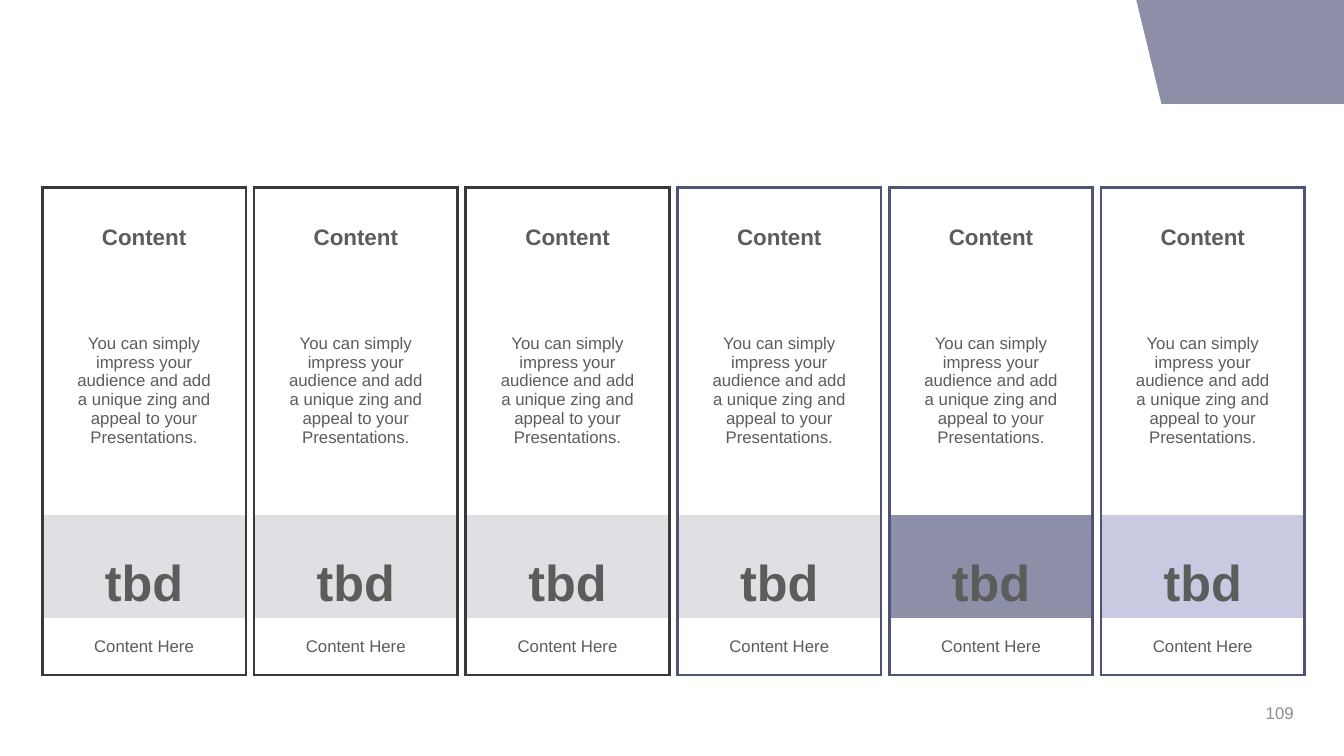
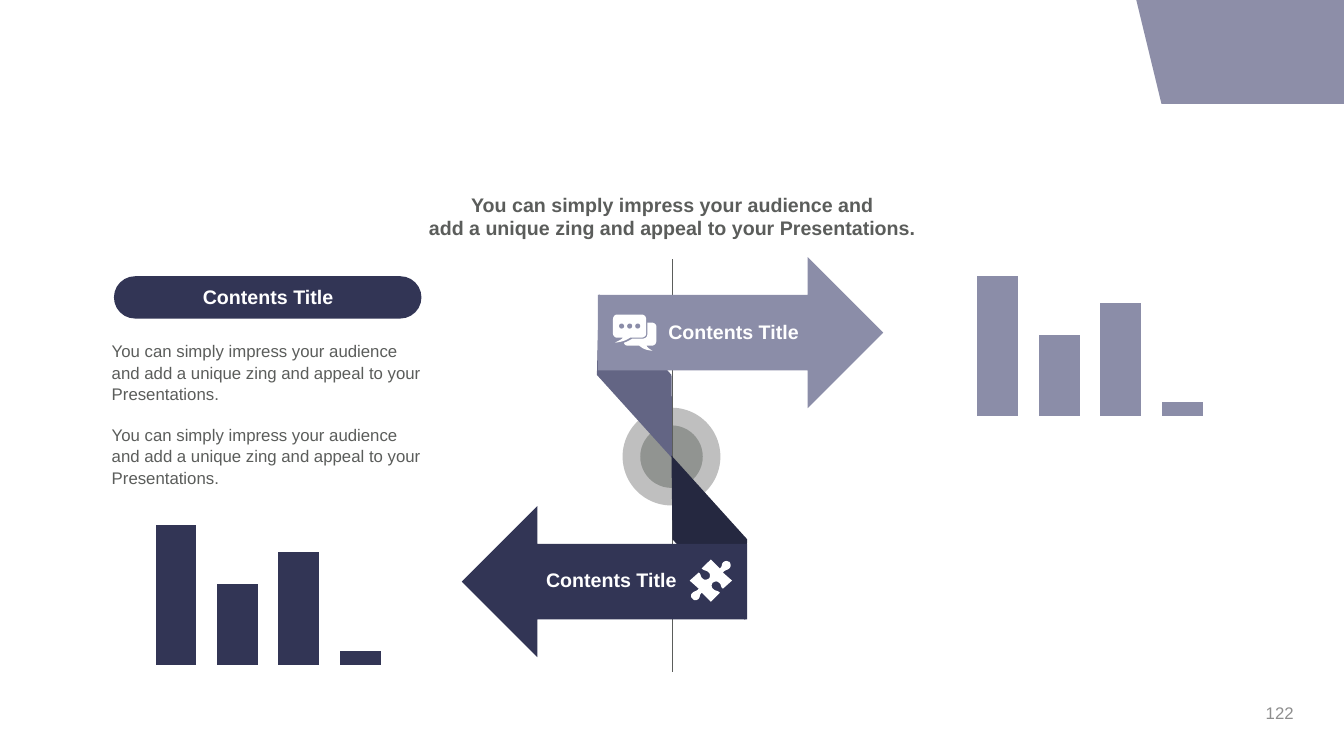
from pptx import Presentation
from pptx.chart.data import CategoryChartData
from pptx.dml.color import RGBColor
from pptx.enum.chart import XL_CHART_TYPE
from pptx.enum.shapes import MSO_CONNECTOR, MSO_SHAPE
from pptx.enum.text import MSO_ANCHOR, PP_ALIGN
from pptx.util import Inches, Pt
from lxml.etree import SubElement
from pptx.oxml.ns import qn

WHITE = RGBColor(0xFF, 0xFF, 0xFF)
BAND = RGBColor(0x8D, 0x8E, 0xA8)
LILAC = RGBColor(0x8B, 0x8D, 0xA8)
PALE = RGBColor(0xC9, 0xCA, 0xE1)
SLATE = RGBColor(0x51, 0x53, 0x73)
DUSK = RGBColor(0x63, 0x65, 0x84)
NAVY = RGBColor(0x32, 0x35, 0x55)
NIGHT = RGBColor(0x25, 0x28, 0x40)
INK = RGBColor(0x3A, 0x38, 0x38)
GREY = RGBColor(0x5B, 0x5D, 0x5B)
STONE = RGBColor(0x91, 0x94, 0x91)
SILVER = RGBColor(0xBF, 0xBF, 0xBF)
MIST = RGBColor(0xDE, 0xE0, 0xE3)
FOOT = RGBColor(0x8E, 0x8E, 0x8E)
FONT = "Arial"
PITCH = "You can simply impress your audience and add a unique zing and appeal to your Presentations."


def paint(shape, color):
    shape.shadow.inherit = False
    shape.fill.solid()
    shape.fill.fore_color.rgb = color
    shape.line.fill.background()
    return shape


def trace(shapes, color, start, steps):
    spots = [start]
    for step in steps:
        if len(step) == 2:
            spots.append(step)
            continue
        knots = [spots[-1], step[:2], step[2:4], step[4:]]
        for part in range(1, 7):
            t = part / 6
            rates = [(1 - t) ** 3, 3 * t * (1 - t) ** 2, 3 * t * t * (1 - t), t ** 3]
            spots.append(tuple(sum(r * k[axis] for r, k in zip(rates, knots)) for axis in (0, 1)))
    spots = [(Inches(x), Inches(y)) for x, y in spots]
    pen = shapes.build_freeform(*spots[0])
    pen.add_line_segments(spots[1:], close=True)
    return paint(pen.convert_to_shape(), color)


deck = Presentation()
deck.slide_width, deck.slide_height = Inches(13.33), Inches(7.5)
blank = deck.slide_layouts[6]
cards, flow = [deck.slides.add_slide(blank) for _ in range(2)]

band = trace(cards.shapes, BAND, (13.33, 0), [(13.33, 1.03), (11.52, 1.03), (11.27, 0)])
blank.shapes.element.append(band.element)

WIDTHS = [0.23, 1.54, 0.23]
HEIGHTS = [0.21, 0.57, 0.22, 0.57, 1.46, 0.22, 1.02, 0.57]
WORDS = {
    (1, 1): ("Content", 16, True, MSO_ANCHOR.MIDDLE),
    (3, 1): (PITCH, 12, False, MSO_ANCHOR.MIDDLE),
    (6, 0): ("tbd", 36, True, MSO_ANCHOR.BOTTOM),
    (7, 0): ("Content Here", 12, False, MSO_ANCHOR.MIDDLE),
}
looks = [(INK, MIST)] * 3 + [(SLATE, MIST), (SLATE, BAND), (SLATE, PALE)]
for spot, (edge, tint) in enumerate(looks):
    frame = cards.shapes.add_table(
        8, 3, Inches(0.42 + 2.1 * spot), Inches(1.86), Inches(2), Inches(sum(HEIGHTS)))
    table = frame.table
    table.first_row = table.horz_banding = False
    for column, width in zip(table.columns, WIDTHS):
        column.width = Inches(width)
    for line, height in zip(table.rows, HEIGHTS):
        line.height = Inches(height)
    table.cell(3, 1).merge(table.cell(4, 1))
    for row in (6, 7):
        table.cell(row, 0).merge(table.cell(row, 2))
    for row in range(8):
        for col in range(3):
            cell = table.cell(row, col)
            sides = {
                "a:lnL": col == 0,
                "a:lnR": col == 2 or (row > 5 and col == 0),
                "a:lnT": row == 0,
                "a:lnB": row == 7,
            }
            props = cell._tc.get_or_add_tcPr()
            for side, shown in sides.items():
                rule = SubElement(props, qn(side), w=str(Pt(2.25)))
                if shown:
                    ink = SubElement(rule, qn("a:solidFill"))
                    SubElement(ink, qn("a:srgbClr"), val=str(edge))
                else:
                    SubElement(rule, qn("a:noFill"))
            cell.fill.solid()
            cell.fill.fore_color.rgb = tint if row == 6 else WHITE
            para = cell.text_frame.paragraphs[0]
            if (row, col) in WORDS:
                words, size, bold, anchor = WORDS[row, col]
                para.text = words
                para.alignment = PP_ALIGN.CENTER
                para.font.name, para.font.size, para.font.bold = FONT, Pt(size), bold
                para.font.color.rgb = GREY
                cell.vertical_anchor = anchor
            else:
                SubElement(para._p, qn("a:endParaRPr"), sz="400")

shapes = flow.shapes
for size, color in [(0.97, SILVER), (0.62, STONE)]:
    paint(shapes.add_shape(
        MSO_SHAPE.OVAL, Inches(6.66 - size / 2), Inches(4.53 - size / 2),
        Inches(size), Inches(size)), color)

fold = [(5.94, 2.92), (6.66, 3.72), (6.67, 4.55), (5.92, 3.72)]
back = [(13.33 - x, 9.07 - y) for x, y in fold]
trace(shapes, DUSK, fold[0], fold[1:])
axis = shapes.add_connector(
    MSO_CONNECTOR.STRAIGHT, Inches(6.67), Inches(2.57), Inches(6.67), Inches(6.67))
axis.line.color.rgb = GREY
axis.line.width = Pt(0.5)
SubElement(axis.element.spPr, qn("a:effectLst"))
trace(shapes, NIGHT, back[0], back[1:])
for left, top, turn, color in [(5.93, 2.55, 0, LILAC), (4.58, 5.02, 180, NAVY)]:
    arrow = paint(shapes.add_shape(
        MSO_SHAPE.RIGHT_ARROW, Inches(left), Inches(top), Inches(2.83), Inches(1.5)), color)
    arrow.rotation = turn

pill = paint(shapes.add_shape(
    MSO_SHAPE.ROUNDED_RECTANGLE, Inches(1.13), Inches(2.74), Inches(3.05), Inches(0.42)), NAVY)
pill.adjustments[0] = 0.5

for left, top, color in [(9.54, 2.43, LILAC), (1.39, 4.9, NAVY)]:
    data = CategoryChartData()
    data.categories = ["1", "2", "3", "4"]
    data.add_series("Series 1", [100, 58, 81, 10])
    chart = shapes.add_chart(
        XL_CHART_TYPE.COLUMN_CLUSTERED, Inches(left), Inches(top),
        Inches(2.54), Inches(1.73), data).chart
    chart.has_legend = chart.has_title = False
    chart.font.name, chart.font.size = FONT, Pt(18)
    chart.font.color.rgb = GREY
    chart.category_axis.visible = chart.value_axis.visible = False
    chart.value_axis.has_major_gridlines = False
    chart.value_axis.minimum_scale, chart.value_axis.maximum_scale = 0, 120
    plot = chart.plots[0]
    plot.gap_width = 50
    plot.vary_by_categories = False
    bars = plot.series[0].format.fill
    bars.solid()
    bars.fore_color.rgb = color

half = [
    (7.25, 5.59, 7.25, 5.62, 7.24, 5.63), (7.22, 5.66, 7.19, 5.65, 7.17, 5.68),
    (7.26, 5.76), (7.17, 5.84),
    (7.14, 5.82, 7.16, 5.8, 7.13, 5.78), (7.11, 5.76, 7.09, 5.77, 7.07, 5.78),
    (7.06, 5.79, 7.05, 5.82, 7.07, 5.84), (7.1, 5.87, 7.11, 5.85, 7.14, 5.88),
    (7.05, 5.97), (6.96, 5.88),
    (6.93, 5.91, 6.95, 5.91, 6.93, 5.94), (6.91, 5.96, 6.88, 5.96, 6.87, 5.94),
]
twin = [tuple((11.52 if n % 2 else 14.1) - v for n, v in enumerate(step)) for step in half]
trace(shapes, WHITE, (7.23, 5.57), half + twin)

trace(shapes, WHITE, (6.42, 3.2), [
    (6.46, 3.2), (6.49, 3.2, 6.51, 3.22, 6.51, 3.24),
    (6.51, 3.38), (6.51, 3.41, 6.49, 3.43, 6.46, 3.43),
    (6.41, 3.43), (6.42, 3.44, 6.42, 3.45, 6.47, 3.48), (6.39, 3.47, 6.38, 3.46, 6.34, 3.43),
    (6.23, 3.43), (6.21, 3.43, 6.19, 3.42, 6.19, 3.4), (6.22, 3.39, 6.24, 3.38, 6.27, 3.36),
    (6.37, 3.36), (6.4, 3.36, 6.42, 3.34, 6.42, 3.32),
])
trace(shapes, WHITE, (6.12, 3.12), [
    (6.36, 3.12), (6.39, 3.12, 6.41, 3.14, 6.41, 3.17),
    (6.41, 3.31), (6.41, 3.33, 6.39, 3.35, 6.36, 3.35),
    (6.25, 3.35), (6.2, 3.38, 6.18, 3.39, 6.1, 3.4), (6.15, 3.37, 6.15, 3.38, 6.18, 3.35),
    (6.12, 3.35), (6.1, 3.35, 6.08, 3.33, 6.08, 3.31),
    (6.08, 3.17), (6.08, 3.14, 6.1, 3.12, 6.12, 3.12),
])
for dot in range(3):
    paint(shapes.add_shape(
        MSO_SHAPE.OVAL, Inches(6.14 + 0.08 * dot), Inches(3.21),
        Inches(0.05), Inches(0.05)), LILAC)

LEFT, MID, RIGHT = PP_ALIGN.LEFT, PP_ALIGN.CENTER, PP_ALIGN.RIGHT
HEAD = ["You can simply impress your audience and",
        "add a unique zing and appeal to your Presentations."]
NAME = ["Contents Title"]
notes = [
    (cards, (9.93, 6.95, 3, 0.24), ["109"], 12, FOOT, RIGHT, 0),
    (flow, (9.93, 6.95, 3, 0.24), ["122"], 12, FOOT, RIGHT, 0),
    (flow, (2.59, 1.86, 8.16, 0.57), HEAD, 14, GREY, MID, 0),
    (flow, (1.01, 3.35, 3.31, 1.51), [PITCH, PITCH], 12, GREY, LEFT, 14.5),
    (flow, (1.23, 2.77, 2.86, 0.34), NAME, 14, WHITE, MID, 0),
    (flow, (6.53, 3.12, 1.77, 0.34), NAME, 14, WHITE, LEFT, 0),
    (flow, (5.04, 5.58, 1.77, 0.34), NAME, 14, WHITE, RIGHT, 0),
]
for slide, place, lines, size, color, align, gap in notes:
    body = slide.shapes.add_textbox(*[Inches(v) for v in place]).text_frame
    body.word_wrap = True
    body.vertical_anchor = MSO_ANCHOR.MIDDLE
    body.text = "\n".join(lines)
    for order, para in enumerate(body.paragraphs):
        para.alignment = align
        if gap:
            para.line_spacing = 1.05
            para.space_before = Pt(gap * order)
        para.font.name, para.font.size, para.font.bold = FONT, Pt(size), size == 14
        para.font.color.rgb = color

deck.save("out.pptx")
